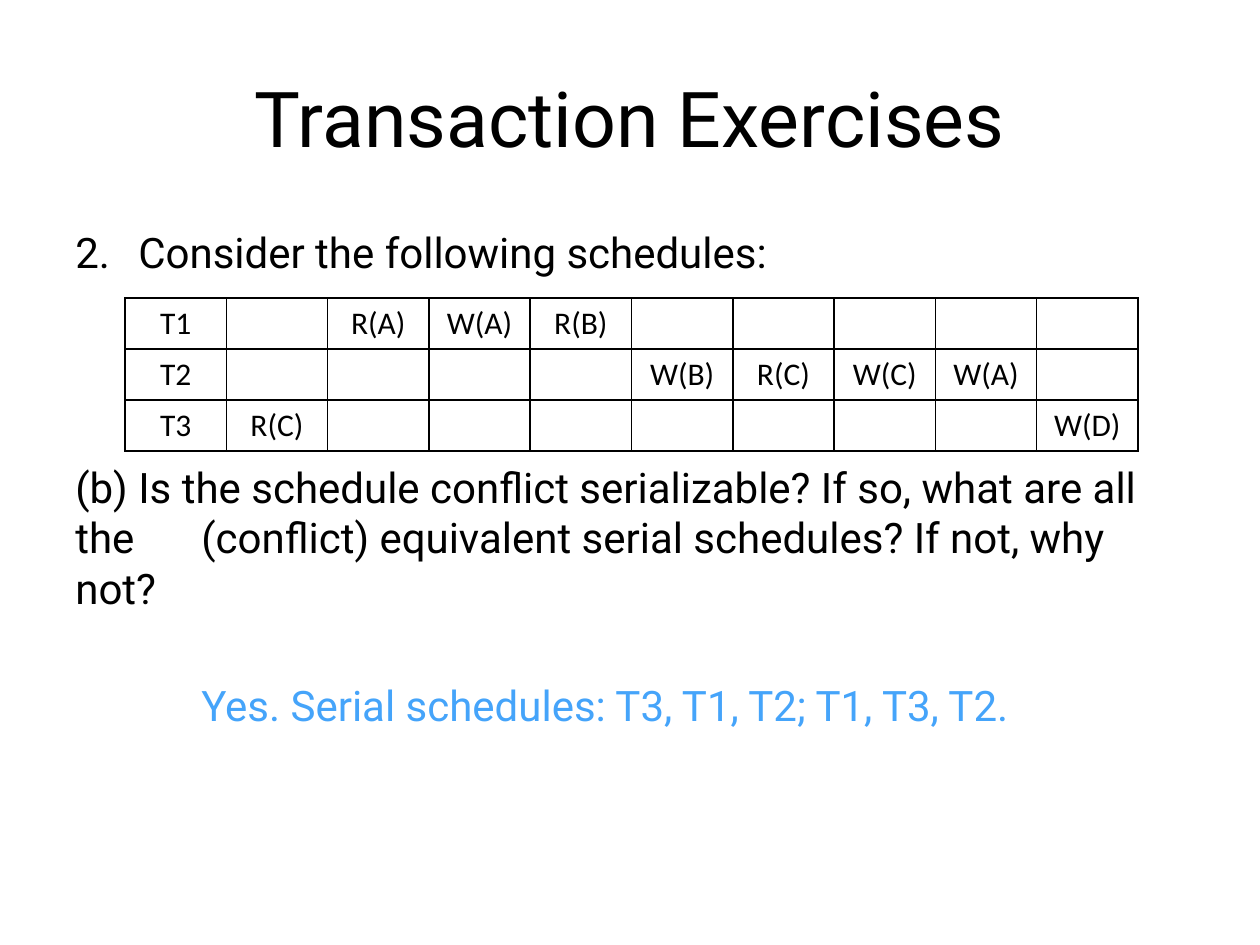
from lxml import etree
from pptx import Presentation
from pptx.dml.color import RGBColor
from pptx.enum.text import MSO_ANCHOR, PP_ALIGN
from pptx.oxml.ns import qn
from pptx.util import Emu, Pt

EMU_PER_PX = 914400 / 126
BLACK, BLUE = "000000", "45A4FA"

TITLE = "Transaction Exercises"
# text, colour, space before in points, list number
BODY = [
    ("Consider the following schedules:", BLACK, 4.8, 2),
    ("(b)\tIs the schedule conflict serializable? If so, what are all the "
     "\t(conflict) equivalent serial schedules? If not, why not?", BLACK, 105.5, None),
    ("\t\tYes. Serial schedules: T3, T1, T2; T1, T3, T2.", BLUE, 38.5, None),
]
STEPS = 9
# transaction -> operation at each time step
SCHEDULE = {
    "T1": {2: "R(A)", 3: "W(A)", 4: "R(B)"},
    "T2": {5: "W(B)", 6: "R(C)", 7: "W(C)", 8: "W(A)"},
    "T3": {1: "R(C)", 9: "W(D)"},
}
TITLE_BOX = (63, 38, 1134, 157)
BODY_BOX = (63, 220, 1134, 725)
TABLE_BOX = (125, 298, 1013, 153)
INDENT = 63


def px(value):
    """Turn pixels into EMU."""
    return Emu(round(value * EMU_PER_PX))


def style(font, name, size, color):
    """Set typeface, size and colour of a font."""
    font.name, font.size = name, Pt(size)
    font.color.rgb = RGBColor.from_string(color)


def add_text_frame(slide, box):
    """Add a wrapping text box and return its frame."""
    frame = slide.shapes.add_textbox(*map(px, box)).text_frame
    frame.word_wrap = True
    return frame


def add_run(paragraph, text, name, size, color):
    """Add one styled run."""
    run = paragraph.add_run()
    run.text = text
    style(run.font, name, size, color)


def set_tabs(paragraph):
    """Put tab stops at one and two indents."""
    tabs = etree.SubElement(paragraph._p.get_or_add_pPr(), qn("a:tabLst"))
    for stop in (1, 2):
        etree.SubElement(tabs, qn("a:tab"), pos=str(px(stop * INDENT)), algn="l")


def set_number(paragraph, start):
    """Number a paragraph with a hanging indent."""
    props = paragraph._p.get_or_add_pPr()
    props.set("marL", str(px(INDENT)))
    props.set("indent", str(-px(INDENT)))
    etree.SubElement(props, qn("a:buFont"), typeface="+mj-lt")
    etree.SubElement(props, qn("a:buAutoNum"), type="arabicPeriod", startAt=str(start))


def set_borders(cell):
    """Draw a thin black line on all four sides of a cell."""
    props = cell._tc.get_or_add_tcPr()
    for index, side in enumerate(("lnL", "lnR", "lnT", "lnB")):
        line = etree.Element(qn("a:" + side), w=str(Pt(1)))
        fill = etree.SubElement(line, qn("a:solidFill"))
        etree.SubElement(fill, qn("a:srgbClr"), val=BLACK)
        props.insert(index, line)


def add_title(slide):
    """Add the centred heading."""
    frame = add_text_frame(slide, TITLE_BOX)
    frame.vertical_anchor = MSO_ANCHOR.MIDDLE
    frame.paragraphs[0].alignment = PP_ALIGN.CENTER
    add_run(frame.paragraphs[0], TITLE, "Roboto", 44, BLACK)


def add_body(slide):
    """Add the question and its answer."""
    frame = add_text_frame(slide, BODY_BOX)
    for index, (text, color, space, number) in enumerate(BODY):
        paragraph = frame.add_paragraph() if index else frame.paragraphs[0]
        paragraph.space_before = Pt(space)
        if number:
            set_number(paragraph, number)
        else:
            set_tabs(paragraph)
        add_run(paragraph, text, "Roboto", 24, color)


def add_schedule(slide):
    """Add the table of operations, one row per transaction."""
    table = slide.shapes.add_table(len(SCHEDULE), STEPS + 1, *map(px, TABLE_BOX)).table
    table.first_row = table.horz_banding = False
    for row, (name, operations) in enumerate(SCHEDULE.items()):
        for step in range(STEPS + 1):
            cell = table.cell(row, step)
            cell.fill.background()
            set_borders(cell)
            paragraph = cell.text_frame.paragraphs[0]
            paragraph.alignment = PP_ALIGN.CENTER
            text = operations.get(step, "") if step else name
            if text:
                add_run(paragraph, text, "Calibri", 18, BLACK)


def main():
    """Build and save the slide."""
    deck = Presentation()
    deck.slide_width, deck.slide_height = px(1260), px(945)
    slide = deck.slides.add_slide(deck.slide_layouts[6])
    add_title(slide)
    add_body(slide)
    add_schedule(slide)
    deck.save("out.pptx")


main()
